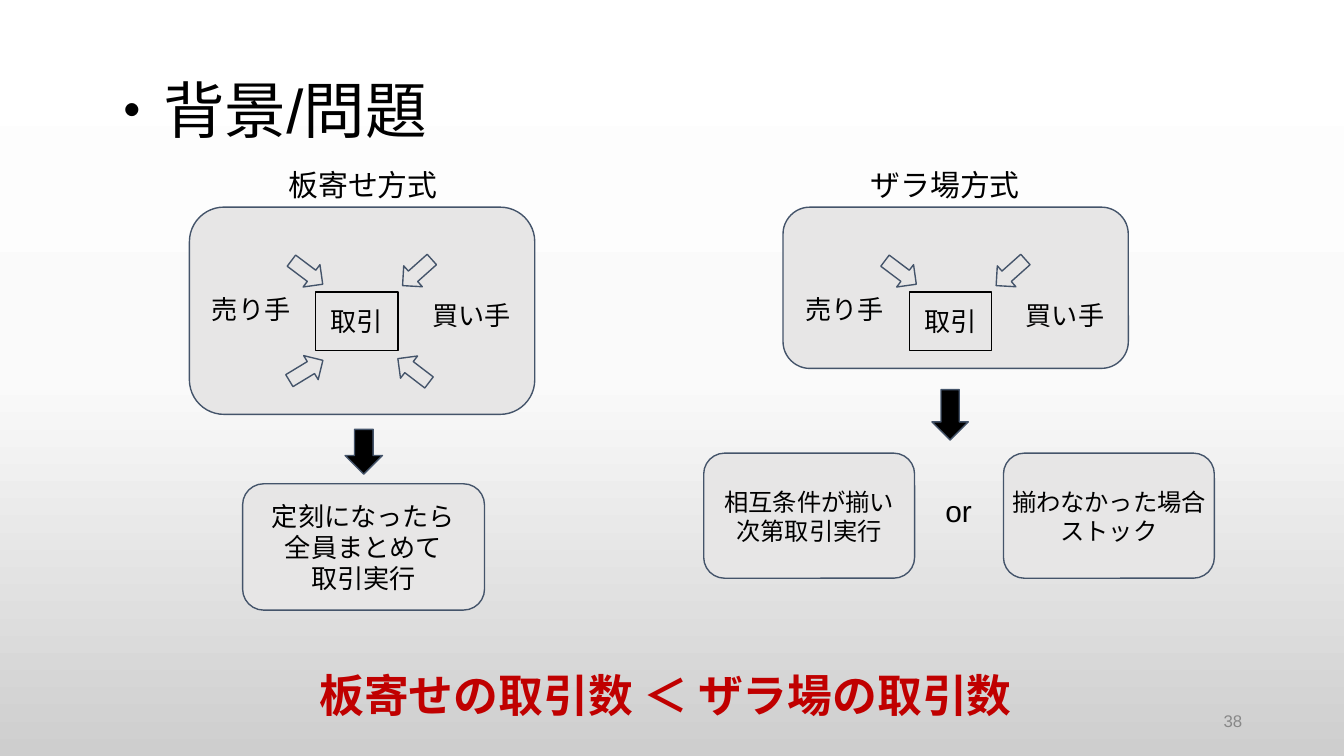
from copy import deepcopy

from pptx import Presentation
from pptx.dml.color import RGBColor
from pptx.enum.shapes import MSO_SHAPE as Kind
from pptx.enum.text import MSO_ANCHOR as Anchor, PP_ALIGN as Align
from pptx.util import Pt

BLACK = RGBColor(0x00, 0x00, 0x00)
GRAY = RGBColor(0x88, 0x88, 0x88)
RED = RGBColor(0xC0, 0x00, 0x00)
PANEL = RGBColor(0xE7, 0xE6, 0xE6)
NAVY = RGBColor(0x44, 0x54, 0x6A)
FADE = [(0, RGBColor(0xFF, 0xFF, 0xFF)), (0.5, RGBColor(0xFA, 0xFA, 0xFA)),
        (1, RGBColor(0xCE, 0xCE, 0xCE))]

# Arrows around the trade box: left, top, angle
UPPER = [(52.5, 27.5, 37), (111.5, 27.5, 138.3)]
LOWER = [(52, 80, 328.8), (109.5, 80, 217.4)]


def style(item, **values):
    for name, value in values.items():
        setattr(item, name, value)


def paint(slide):
    """Fill the background with a vertical three-stop fade."""
    fill = slide.background.fill
    fill.gradient()
    fill.gradient_angle = 270
    first = fill.gradient_stops[0]._gs
    first.addnext(deepcopy(first))
    for stop, (place, color) in zip(fill.gradient_stops, FADE):
        stop.position = place
        stop.color.rgb = color


def write(shape, lines, size, align=Align.LEFT, color=BLACK, bold=False,
          inset=(7.2, 7.2), anchor=Anchor.TOP, space=1):
    """Set the lines of a shape; inset is (side, top and bottom)."""
    side, edge = inset
    frame = shape.text_frame
    style(frame, text="\n".join(lines), word_wrap=True, vertical_anchor=anchor,
          margin_left=Pt(side), margin_right=Pt(side),
          margin_top=Pt(edge), margin_bottom=Pt(edge))
    for par in frame.paragraphs:
        style(par, alignment=align, line_spacing=space)
        for run in par.runs:
            style(run.font, name="Arial", size=Pt(size), bold=bold)
            run.font.color.rgb = color


def label(slide, box, lines, size, **values):
    write(slide.shapes.add_textbox(*map(Pt, box)), lines, size, **values)


def draw(slide, kind, box, fill=PANEL, line=NAVY, angle=0):
    shape = slide.shapes.add_shape(kind, *map(Pt, box))
    shape.shadow.inherit = False
    if fill is None:
        shape.fill.background()
    else:
        shape.fill.solid()
        shape.fill.fore_color.rgb = fill
    shape.line.color.rgb = line
    shape.line.width = Pt(0.75)
    shape.rotation = angle
    return shape


def market(slide, box, name, shift, arrows):
    """Draw a titled panel where sellers and buyers meet at a trade."""
    left, top, width, height = box
    draw(slide, Kind.ROUNDED_RECTANGLE, box)
    label(slide, (left + shift, top - 29, 98, 34), [name], 16)
    trade = draw(slide, Kind.RECTANGLE, (left + 67.7, top + 45.4, 44, 31.5),
                 None, BLACK)
    write(trade, ["取引"], 14, align=Align.CENTER)
    for x, y, angle in arrows:
        draw(slide, Kind.RIGHT_ARROW, (left + x, top + y, 21, 15), angle=angle)
    for x, y, who in [(5, 42.5, "売り手"), (123, 46, "買い手")]:
        label(slide, (left + x, top + y, 58, 24.5), [who], 14,
              inset=(7.2, 3.6))


def result(slide, box, lines, size, drop):
    """Draw an outcome panel with its text starting drop below the top."""
    left, top, width, height = box
    draw(slide, Kind.ROUNDED_RECTANGLE, box)
    label(slide, (left - 8.5, top + drop, width + 17, height - 2 * drop),
          lines, size, align=Align.CENTER)


def down(slide, box):
    draw(slide, Kind.RIGHT_ARROW, box, BLACK, angle=90)


def batch(slide, left, top):
    """Trading in one batch at a set time."""
    market(slide, (left, top, 185, 111), "板寄せ方式", 46, UPPER + LOWER)
    down(slide, (left + 81.4, top + 121, 24, 20))
    result(slide, (left + 28.5, top + 148.2, 129.6, 67.7),
           ["定刻になったら", "全員まとめて", "取引実行"], 14, 1.5)


def nonstop(slide, left, top):
    """Trading whenever the terms match."""
    market(slide, (left, top, 185, 86.4), "ザラ場方式", 40, UPPER)
    down(slide, (left + 76, top + 101.5, 27, 19.5))
    ends = [["相互条件が揃い", "次第取引実行"],
            ["揃わなかった場合", "ストック"]]
    for i, lines in enumerate(ends):
        result(slide, (left - 42.5 + i * 160.6, top + 131.8, 113, 67),
               lines, 13, 10.8)
    label(slide, (left + 67, top + 146, 54, 34), ["or"], 16,
          align=Align.CENTER)


def main():
    deck = Presentation()
    style(deck, slide_width=Pt(720), slide_height=Pt(405))
    slide = deck.slides.add_slide(deck.slide_layouts[6])
    paint(slide)
    label(slide, (49.5, 21.6, 621, 78.3), ["・背景/問題"], 33,
          inset=(5, 3), anchor=Anchor.MIDDLE, space=0.9)
    batch(slide, 101.5, 111)
    nonstop(slide, 419.5, 111)
    label(slide, (164, 325.5, 433.5, 56), ["板寄せの取引数 ＜ ザラ場の取引数"], 24,
          color=RED, bold=True, inset=(7.2, 3.6), space=2)
    label(slide, (508.5, 375.3, 162, 21.6), ["38"], 9, align=Align.RIGHT,
          color=GRAY, inset=(5, 3), anchor=Anchor.MIDDLE)
    deck.save("out.pptx")


if __name__ == "__main__":
    main()
